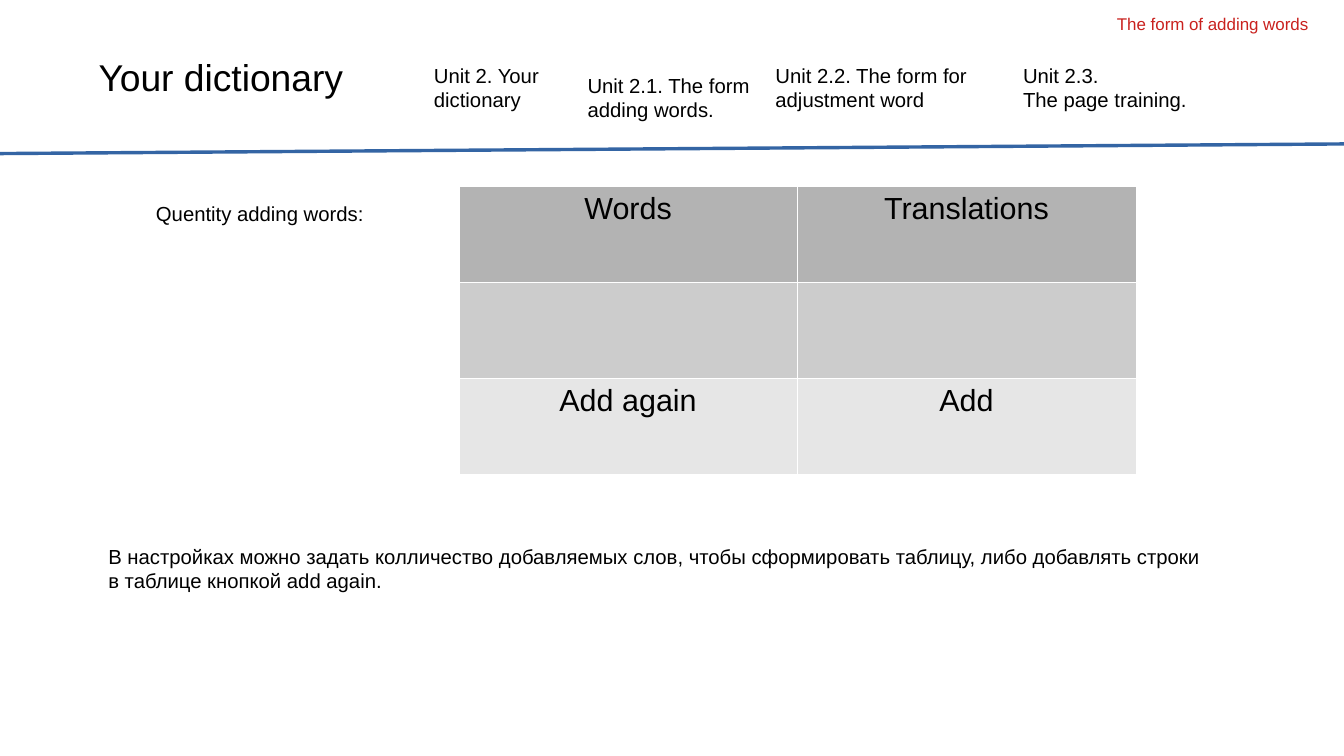
from dataclasses import dataclass

from lxml import etree
from pptx import Presentation
from pptx import util as u
from pptx.dml.color import RGBColor
from pptx.enum import shapes, text
from pptx.oxml import ns


@dataclass(frozen=True)
class Theme:
    font: str = "Arial"
    ink: str = "000000"
    accent: str = "C9211E"
    rule: str = "3465A4"
    border: str = "FFFFFF"
    row_fills: tuple = ("B3B3B3", "CCCCCC", "E6E6E6")
    title_size: int = 22
    table_size: int = 18
    body_size: int = 12
    caption_size: int = 10


theme = Theme()

# Content; every box is left, top, width, height in points
SLIDE_WIDTH, SLIDE_HEIGHT = 793.44, 446.4
TITLE = "Your dictionary"
TITLE_BOX = (45.4, 22.3, 170, 45.4)
CAPTION = ("The form of adding words", (652.3, 4.3, 141.1, 18))
BODY_TEXTS = [
    ("Unit 2. Your\ndictionary", (249.1, 33.8, 80, 34)),
    ("Unit 2.1. The form\nadding words.", (339.8, 39.6, 111, 34)),
    ("Unit 2.2. The form for\nadjustment word", (450.7, 33.8, 129, 47.5)),
    ("Unit 2.3.\nThe page training.", (596.9, 33.8, 113, 34)),
    ("Quentity adding words:", (85, 115.2, 139, 21)),
    ("В настройках можно задать колличество добавляемых слов, чтобы сформировать "
     "таблицу, либо добавлять строки\nв таблице кнопкой add again.",
     (56.9, 317.5, 664, 34)),
]
RULE_ENDS = (0, 90.7, SLIDE_WIDTH, 85)
TABLE_ROWS = [("Words", "Translations"), ("", ""), ("Add again", "Add")]
TABLE_BOX = (270.9, 109.6, 399.6, 170.1)
BORDER_WIDTH = 0.06


def points(values):
    return [u.Pt(value) for value in values]


def style_text(frame, size, color=theme.ink, align=text.PP_ALIGN.LEFT):
    for paragraph in frame.paragraphs:
        paragraph.alignment = align
        for run in paragraph.runs:
            run.font.name = theme.font
            run.font.size = u.Pt(size)
            run.font.color.rgb = RGBColor.from_string(color)


def add_label(slide, wording, box, size, color=theme.ink):
    frame = slide.shapes.add_textbox(*points(box)).text_frame
    frame.word_wrap = True
    frame.text = wording
    style_text(frame, size, color)


def set_borders(cell):
    properties = cell._tc.get_or_add_tcPr()
    for index, side in enumerate(("lnL", "lnR", "lnT", "lnB")):
        line = etree.Element(ns.qn(f"a:{side}"), w=str(u.Pt(BORDER_WIDTH)))
        fill = etree.SubElement(line, ns.qn("a:solidFill"))
        etree.SubElement(fill, ns.qn("a:srgbClr"), val=theme.border)
        properties.insert(index, line)


def add_title(slide):
    title = slide.shapes.title
    title.left, title.top, title.width, title.height = points(TITLE_BOX)
    frame = title.text_frame
    frame.text = TITLE
    frame.auto_size = text.MSO_AUTO_SIZE.NONE
    frame.vertical_anchor = text.MSO_ANCHOR.MIDDLE
    frame.margin_left = frame.margin_right = 0
    frame.margin_top = frame.margin_bottom = 0
    style_text(frame, theme.title_size, align=text.PP_ALIGN.CENTER)


def add_rule(slide):
    rule = slide.shapes.add_connector(
        shapes.MSO_CONNECTOR.STRAIGHT, *points(RULE_ENDS))
    rule.line.color.rgb = RGBColor.from_string(theme.rule)
    rule.line.width = u.Pt(0)
    etree.SubElement(rule._element.spPr, ns.qn("a:effectLst"))


def add_word_table(slide):
    table = slide.shapes.add_table(
        len(TABLE_ROWS), len(TABLE_ROWS[0]), *points(TABLE_BOX)).table
    table.first_row = table.horz_banding = False
    for row, wordings, fill in zip(table.rows, TABLE_ROWS, theme.row_fills):
        for cell, wording in zip(row.cells, wordings):
            cell.text = wording
            style_text(cell.text_frame, theme.table_size,
                       align=text.PP_ALIGN.CENTER)
            cell.fill.solid()
            cell.fill.fore_color.rgb = RGBColor.from_string(fill)
            set_borders(cell)


def main():
    presentation = Presentation()
    presentation.slide_width = u.Pt(SLIDE_WIDTH)
    presentation.slide_height = u.Pt(SLIDE_HEIGHT)
    slide = presentation.slides.add_slide(presentation.slide_layouts[5])

    # Header
    add_title(slide)
    add_label(slide, *CAPTION, theme.caption_size, theme.accent)
    add_rule(slide)

    # Word form
    add_word_table(slide)

    # Unit labels and notes
    for wording, box in BODY_TEXTS:
        add_label(slide, wording, box, theme.body_size)

    presentation.save("out.pptx")


if __name__ == "__main__":
    main()
